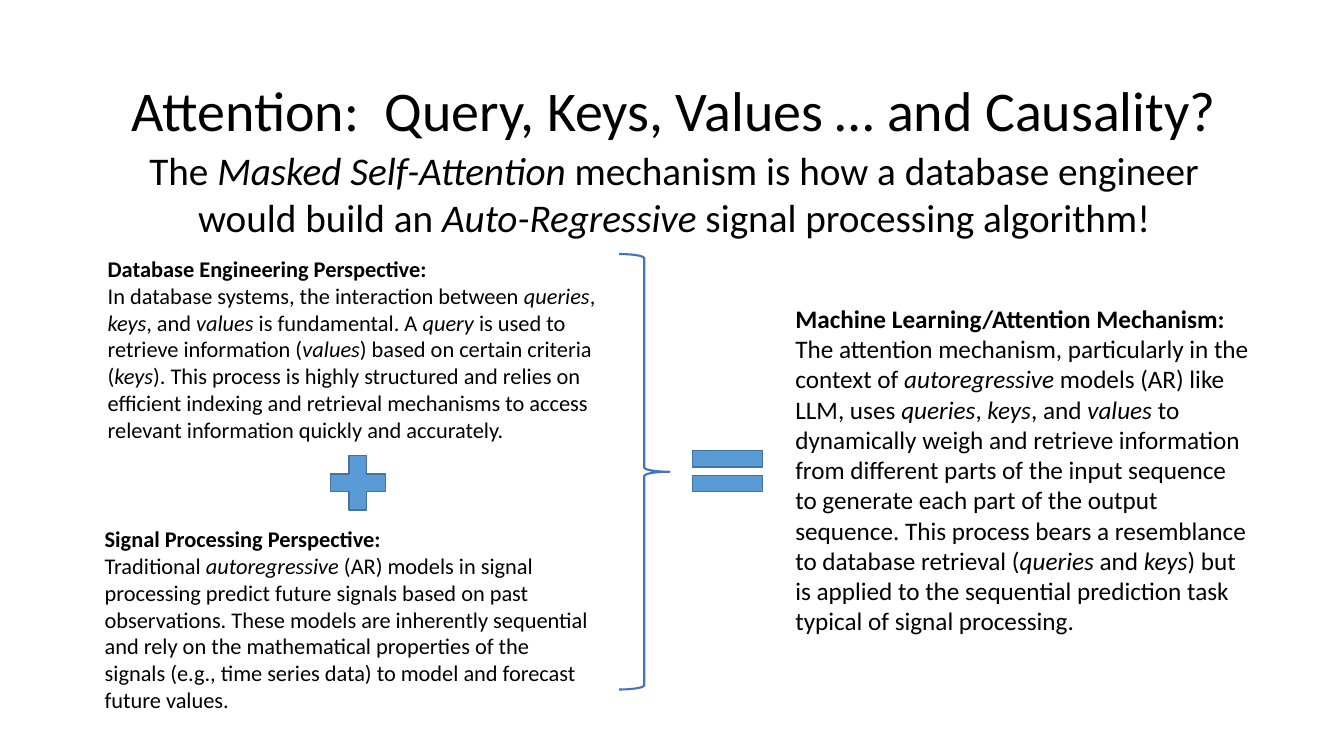
from pptx import Presentation
from pptx import util as u
from pptx.dml.color import RGBColor
from pptx.enum import shapes, text

BLACK = RGBColor(0x00, 0x00, 0x00)
BLUE = RGBColor(0x5B, 0x9B, 0xD5)
EDGE = RGBColor(0x43, 0x73, 0x9E)
BRACE = RGBColor(0x44, 0x72, 0xC4)
FONT = "Calibri"

DATA = (
    "|Database Engineering Perspective:|\n"
    "In database systems, the interaction between *queries*, *keys*, and *values* "
    "is fundamental. A *query* is used to retrieve information (*values*) based on "
    "certain criteria (*keys*). This process is highly structured and relies on "
    "efficient indexing and retrieval mechanisms to access relevant information "
    "quickly and accurately."
)
SIGNAL = (
    "|Signal Processing Perspective:|\n"
    "Traditional *autoregressive* (AR) models in signal processing predict future "
    "signals based on past observations. These models are inherently sequential and "
    "rely on the mathematical properties of the signals (e.g., time series data) to "
    "model and forecast future values."
)
LEARN = (
    "|Machine Learning/Attention Mechanism: |"
    "The attention mechanism, particularly in the context of *autoregressive* models "
    "(AR) like LLM, uses *queries*, *keys*, and *values* to dynamically weigh and "
    "retrieve information from different parts of the input sequence to generate each "
    "part of the output sequence. This process bears a resemblance to database "
    "retrieval (*queries* and *keys*) but is applied to the sequential prediction task "
    "typical of signal processing."
)
CLAIM = (
    "The *Masked Self-Attention *mechanism is how a database engineer would build an "
    "*Auto-Regressive* signal processing algorithm!"
)


def write(frame, words, size=16, align=text.PP_ALIGN.LEFT, space=1.0):
    frame.word_wrap = True
    for n, line in enumerate(words.split("\n")):
        para = frame.add_paragraph() if n else frame.paragraphs[0]
        para.alignment = align
        para.line_spacing = space
        for b, chunk in enumerate(line.split("|")):
            for i, part in enumerate(chunk.split("*")):
                if not part:
                    continue
                run = para.add_run()
                run.text = part
                font = run.font
                font.name, font.size = FONT, u.Pt(size)
                font.bold, font.italic = b % 2 == 1, i % 2 == 1
                font.color.rgb = BLACK


def add_text(slide, box, words, **style):
    label = slide.shapes.add_textbox(*map(u.Inches, box))
    write(label.text_frame, words, **style)


def add_mark(slide, kind, box, edge, width, fill=None):
    mark = slide.shapes.add_shape(kind, *map(u.Inches, box))
    mark.shadow.inherit = False
    mark.line.color.rgb = edge
    mark.line.width = u.Pt(width)
    if fill is None:
        mark.fill.background()
    else:
        mark.fill.solid()
        mark.fill.fore_color.rgb = fill


def add_title(slide, box, words):
    title = slide.shapes.title
    title.left, title.top, title.width, title.height = map(u.Inches, box)
    frame = title.text_frame
    frame.auto_size = text.MSO_AUTO_SIZE.NONE
    frame.vertical_anchor = text.MSO_ANCHOR.MIDDLE
    write(frame, words, size=40, align=text.PP_ALIGN.CENTER, space=0.9)


def main():
    deck = Presentation()
    deck.slide_width, deck.slide_height = u.Inches(13.33), u.Inches(7.5)
    slide = deck.slides.add_slide(deck.slide_layouts[5])
    add_title(slide, (0.92, 0.4, 11.53, 1.45),
              "Attention:  Query, Keys, Values … and Causality?")
    add_text(slide, (1.19, 1.4, 10.99, 1.04), CLAIM,
             size=28, align=text.PP_ALIGN.CENTER)
    add_text(slide, (0.97, 2.48, 5.33, 1.99), DATA)
    add_text(slide, (0.94, 5.16, 5.03, 1.99), SIGNAL)
    add_text(slide, (7.79, 2.96, 4.73, 3.43), LEARN, size=18)
    kind = shapes.MSO_SHAPE
    add_mark(slide, kind.RIGHT_BRACE, (6.14, 2.52, 0.5, 4.32), BRACE, 1.5)
    add_mark(slide, kind.MATH_PLUS, (3.18, 4.42, 0.74, 0.74), EDGE, 1, BLUE)
    add_mark(slide, kind.MATH_EQUAL, (6.74, 4.33, 0.95, 0.69), EDGE, 1, BLUE)
    deck.save("out.pptx")


if __name__ == "__main__":
    main()
